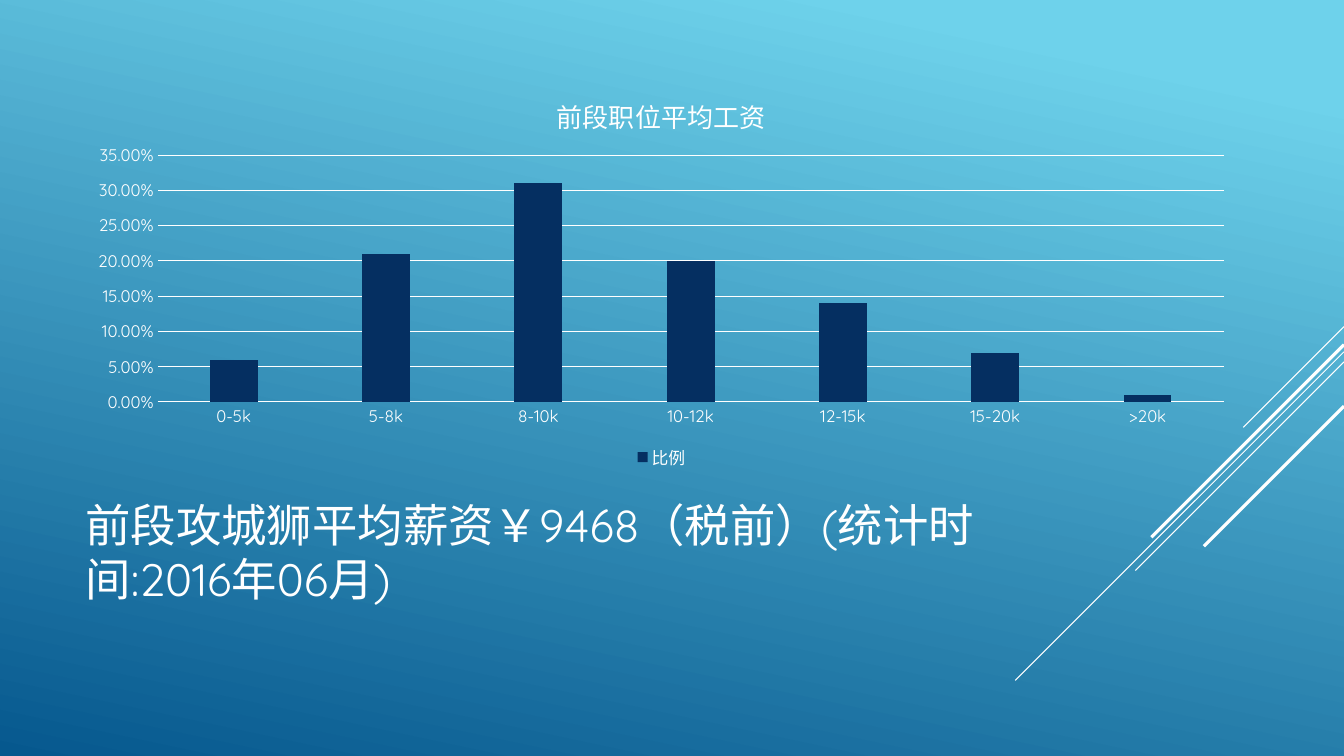
import pptx
import pptx.chart.data
import pptx.dml.color
import pptx.enum.chart
import pptx.enum.shapes
import pptx.enum.text
import pptx.oxml
import pptx.oxml.ns
import pptx.util
from pptx.util import Inches

# Content
HEADLINE = "前段攻城狮平均薪资￥9468（税前）(统计时间:2016年06月)"
CHART_TITLE = "前段职位平均工资"
SERIES_NAME = "比例"
SALARY_SHARES = {
    "0-5k": 0.06, "5-8k": 0.21, "8-10k": 0.31, "10-12k": 0.2,
    "12-15k": 0.14, "15-20k": 0.07, ">20k": 0.01,
}
# Diagonal lines running down-left from the right edge: start y, run, weight
DIAGONALS = [
    (3.24, 1.00, 0.75), (3.49, 3.26, 0.75), (3.59, 2.07, 0.75),
    (3.42, 1.91, 2.25), (4.03, 1.39, 2.25),
]
PLOT_AREA = {"x": 0.07, "y": 0.2, "w": 0.91, "h": 0.62}

THEME = {
    "font": "Quicksand", "white": "FFFFFF", "bar": "052F61",
    "background": [(0.1, "6ED2EB"), (1.0, "06588E")],
    "headline": 32.4, "chart_title": 18.6, "label": 12, "hairline": 0.75,
}
WIDTH, HEIGHT = 13.33, 7.5


def color(name):
    return pptx.dml.color.RGBColor.from_string(THEME.get(name, name))


def style_font(font, size):
    font.name = THEME["font"]
    font.size = pptx.util.Pt(THEME[size])
    font.bold = False
    font.color.rgb = color("white")


def style_line(line, weight):
    line.color.rgb = color("white")
    line.width = pptx.util.Pt(weight)


presentation = pptx.Presentation()
presentation.slide_width = Inches(WIDTH)
presentation.slide_height = Inches(HEIGHT)
slide = presentation.slides.add_slide(presentation.slide_layouts[6])

# Background gradient
fill = slide.background.fill
fill.gradient()
fill.gradient_angle = 360 - 102
for stop, (position, value) in zip(fill.gradient_stops, THEME["background"]):
    stop.position = position
    stop.color.rgb = color(value)

# Diagonal lines
for top, run, weight in DIAGONALS:
    connector = slide.shapes.add_connector(
        pptx.enum.shapes.MSO_CONNECTOR.STRAIGHT,
        Inches(WIDTH), Inches(top), Inches(WIDTH - run), Inches(top + run))
    style_line(connector.line, weight)
    connector._element.spPr.append(pptx.oxml.parse_xml(
        f"<a:effectLst {pptx.oxml.ns.nsdecls('a')}/>"))

# Headline
headline = slide.shapes.add_textbox(
    Inches(0.75), Inches(4.91), Inches(9.33), Inches(1.65))
text_frame = headline.text_frame
text_frame.word_wrap = True
text_frame.vertical_anchor = pptx.enum.text.MSO_ANCHOR.TOP
text_frame.margin_top = Inches(0.02)
paragraph = text_frame.paragraphs[0]
paragraph.text = HEADLINE
paragraph.line_spacing = 1.0
style_font(paragraph.font, "headline")

# Salary chart
chart_data = pptx.chart.data.CategoryChartData(number_format="0.00%")
chart_data.categories = list(SALARY_SHARES)
chart_data.add_series(SERIES_NAME, list(SALARY_SHARES.values()))
chart = slide.shapes.add_chart(
    pptx.enum.chart.XL_CHART_TYPE.COLUMN_CLUSTERED,
    Inches(0.75), Inches(0.75), Inches(11.62), Inches(3.95), chart_data).chart
style_font(chart.font, "label")

chart.has_title = True
chart.chart_title.include_in_layout = False
title_paragraph = chart.chart_title.text_frame.paragraphs[0]
title_paragraph.text = CHART_TITLE
style_font(title_paragraph.font, "chart_title")

chart.has_legend = True
chart.legend.position = pptx.enum.chart.XL_LEGEND_POSITION.BOTTOM
chart.legend.include_in_layout = False
style_font(chart.legend.font, "label")

# Columns
plot = chart.plots[0]
plot.gap_width = 219
plot.overlap = -27
plot.vary_by_categories = False
series_fill = plot.series[0].format.fill
series_fill.solid()
series_fill.fore_color.rgb = color("bar")

# Axes
category_axis, value_axis = chart.category_axis, chart.value_axis
for axis in (category_axis, value_axis):
    axis.major_tick_mark = pptx.enum.chart.XL_TICK_MARK.NONE
    axis.minor_tick_mark = pptx.enum.chart.XL_TICK_MARK.NONE
    style_font(axis.tick_labels.font, "label")
style_line(category_axis.format.line, THEME["hairline"])
value_axis.format.line.fill.background()
value_axis.minimum_scale, value_axis.maximum_scale = 0, 0.35
value_axis.major_unit = 0.05
value_axis.tick_labels.number_format = "0.00%"
value_axis.tick_labels.number_format_is_linked = False
value_axis.has_major_gridlines = True
style_line(value_axis.major_gridlines.format.line, THEME["hairline"])

# Fixed plot area inside the chart frame
plot_area = chart._chartSpace.chart.plotArea
for layout in plot_area.findall(pptx.oxml.ns.qn("c:layout")):
    plot_area.remove(layout)
modes = "".join(f'<c:{side}Mode val="edge"/>' for side in "xy")
sizes = "".join(f'<c:{key} val="{value}"/>' for key, value in PLOT_AREA.items())
plot_area.insert(0, pptx.oxml.parse_xml(
    f"<c:layout {pptx.oxml.ns.nsdecls('c')}><c:manualLayout>"
    f'<c:layoutTarget val="inner"/>{modes}{sizes}'
    "</c:manualLayout></c:layout>"))

presentation.save("out.pptx")
